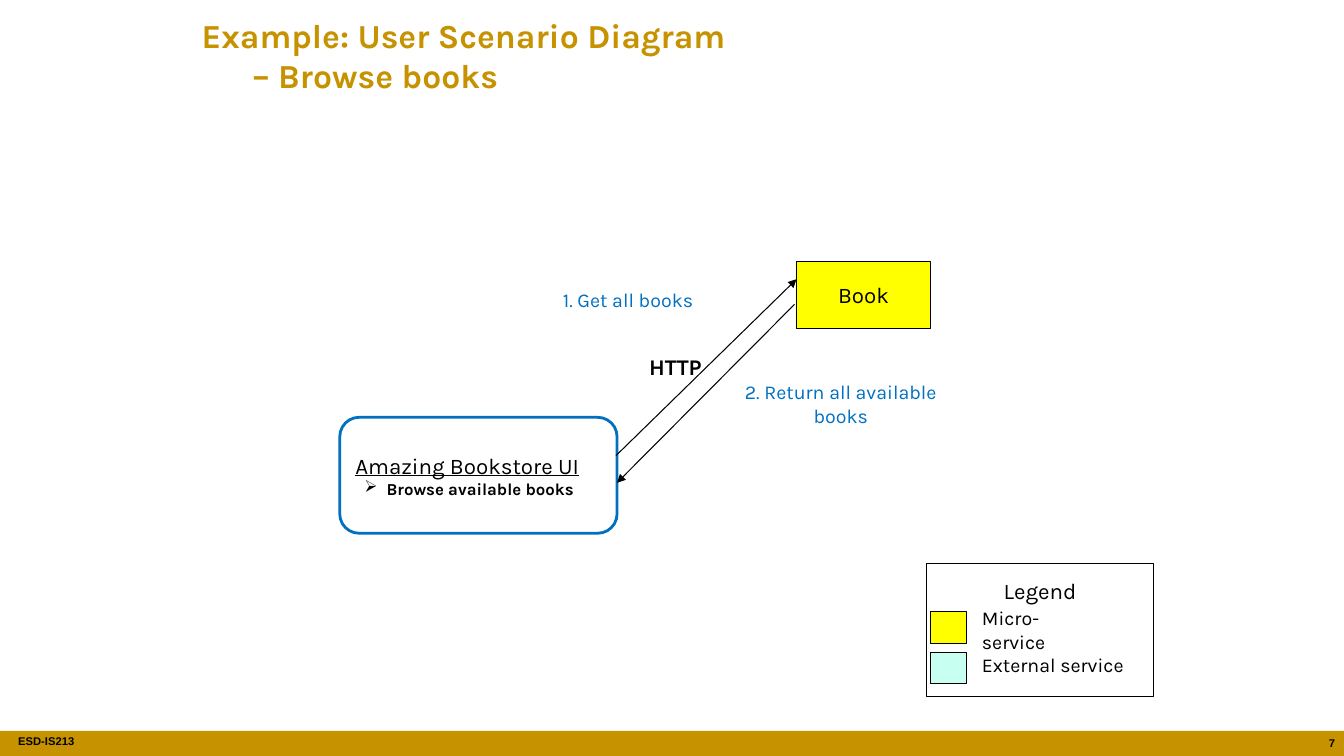
from lxml import etree
from pptx import Presentation
from pptx.dml.color import RGBColor
from pptx.enum.shapes import MSO_CONNECTOR, MSO_SHAPE
from pptx.enum.text import MSO_ANCHOR, MSO_AUTO_SIZE, PP_ALIGN
from pptx.oxml.ns import qn
from pptx.util import Inches, Pt

RECT, ROUNDED = MSO_SHAPE.RECTANGLE, MSO_SHAPE.FLOWCHART_ALTERNATE_PROCESS
STRAIGHT = MSO_CONNECTOR.STRAIGHT
TOP, MIDDLE = MSO_ANCHOR.TOP, MSO_ANCHOR.MIDDLE
LEFT, CENTER, RIGHT = PP_ALIGN.LEFT, PP_ALIGN.CENTER, PP_ALIGN.RIGHT
NO_AUTOSIZE = MSO_AUTO_SIZE.NONE
COLORS = {"gold": "C69200", "black": "000000", "white": "FFFFFF",
          "blue": "0070C0", "yellow": "FFFF00", "mint": "C7FFF0"}


class ScenarioSlide:
    """Draws the elements of a user scenario diagram in one style."""

    def __init__(self, slide, font="Karla"):
        self.slide = slide
        self.font = font

    def color(self, name):
        return RGBColor.from_string(COLORS[name])

    def style_runs(self, paragraph, size, color="black", bold=False, align=LEFT,
                   underline=False, font=None):
        paragraph.alignment = align
        for run in paragraph.runs:
            run.font.name = font or self.font
            run.font.size = Pt(size)
            run.font.bold = bold
            run.font.underline = underline
            run.font.color.rgb = self.color(color)

    def title(self, text, left, top, width, height):
        title = self.slide.shapes.title
        title.left, title.top = Inches(left), Inches(top)
        title.width, title.height = Inches(width), Inches(height)
        title.text_frame.auto_size = NO_AUTOSIZE
        self.set_text(title.text_frame, text, 24, color="gold", bold=True)

    def box(self, left, top, width, height, fill=None, line="black", weight=0.75, kind=RECT):
        box = self.slide.shapes.add_shape(
            kind, Inches(left), Inches(top), Inches(width), Inches(height))
        box.shadow.inherit = False
        if fill:
            box.fill.solid()
            box.fill.fore_color.rgb = self.color(fill)
        else:
            box.fill.background()
        if line:
            box.line.color.rgb = self.color(line)
            box.line.width = Pt(weight)
        else:
            box.line.fill.background()
        return box.text_frame

    def set_text(self, frame, text, size, anchor=MIDDLE, **style):
        frame.text = text
        frame.vertical_anchor = anchor
        self.style_runs(frame.paragraphs[0], size, **style)

    def bullet(self, frame, text, size):
        paragraph = frame.add_paragraph()
        paragraph.text = text
        self.style_runs(paragraph, size, bold=True)
        properties = paragraph._p.get_or_add_pPr()
        properties.set("marL", str(Inches(0.31)))
        properties.set("indent", str(Inches(-0.22)))
        etree.SubElement(properties, qn("a:buChar"), char="➢")

    def label(self, text, left, top, width, height, size, wrap=True, inset=0.1, **style):
        frame = self.slide.shapes.add_textbox(
            Inches(left), Inches(top), Inches(width), Inches(height)).text_frame
        frame.word_wrap = wrap
        frame.margin_left = frame.margin_right = Inches(inset)
        self.set_text(frame, text, size, TOP, **style)

    def arrow(self, start, end):
        arrow = self.slide.shapes.add_connector(
            STRAIGHT, *(Inches(value) for value in (*start, *end)))
        arrow.line.color.rgb = self.color("black")
        arrow.line.width = Pt(0.75)
        properties = arrow._element.spPr
        etree.SubElement(properties.find(qn("a:ln")), qn("a:tailEnd"), type="triangle")
        etree.SubElement(properties, qn("a:effectLst"))


def main():
    deck = Presentation()
    deck.slide_width, deck.slide_height = Inches(13.33), Inches(7.5)
    scenario = ScenarioSlide(deck.slides.add_slide(deck.slide_layouts[5]))

    scenario.box(0, 7.25, 13.33, 0.25, "gold", None)
    scenario.label("ESD-IS213", 0.18, 7.24, 1.72, 0.25, 8, inset=0, bold=True, font="Arial")
    scenario.label("7", 12.95, 7.26, 0.39, 0.24, 8, bold=True, align=RIGHT, font="Arial")
    scenario.title("Example: User Scenario Diagram \v\t– Browse books", 1.9, 0.09, 9.54, 0.91)

    bookstore = scenario.box(3.37, 4.14, 2.75, 1.15, line="blue", weight=2, kind=ROUNDED)
    scenario.set_text(bookstore, "Amazing Bookstore UI", 16, underline=True)
    scenario.bullet(bookstore, "Browse available books", 12)
    book = scenario.box(7.9, 2.59, 1.33, 0.67, "yellow")
    scenario.set_text(book, "Book", 16, align=CENTER)

    scenario.arrow((6.11, 4.52), (7.9, 2.77))
    scenario.arrow((7.88, 3.02), (6.12, 4.79))
    for step, left, top, height in (("1. Get all books", 5.05, 2.81, 0.34),
                                    ("2. Return all available books", 7.16, 3.72, 0.57)):
        scenario.label(step, left, top, 2.36, height, 14, color="blue", align=CENTER)
    scenario.label("HTTP", 6.34, 3.45, 0.79, 0.37, 16, wrap=False, bold=True)

    legend = scenario.box(9.19, 5.59, 2.25, 1.32, "white")
    legend.margin_top = Inches(0.14)
    scenario.set_text(legend, "Legend", 16, TOP, align=CENTER)
    for service, fill, top, label_top, width in (
            ("Micro-service", "yellow", 6.07, 6.08, 1.35),
            ("External service", "mint", 6.47, 6.43, 1.65)):
        scenario.box(9.23, top, 0.36, 0.31, fill)
        name = scenario.box(9.64, label_top, width, 0.33, line=None)
        scenario.set_text(name, service, 14)

    deck.save("out.pptx")


if __name__ == "__main__":
    main()
